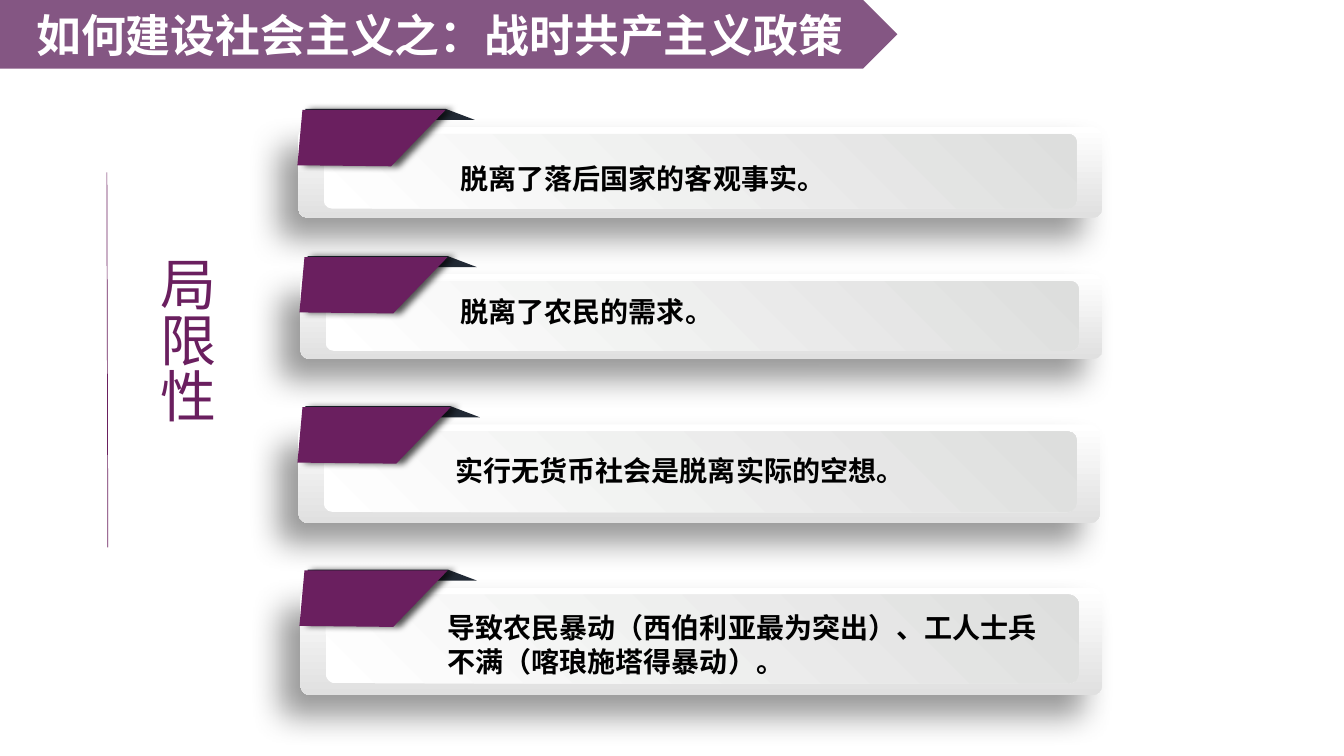
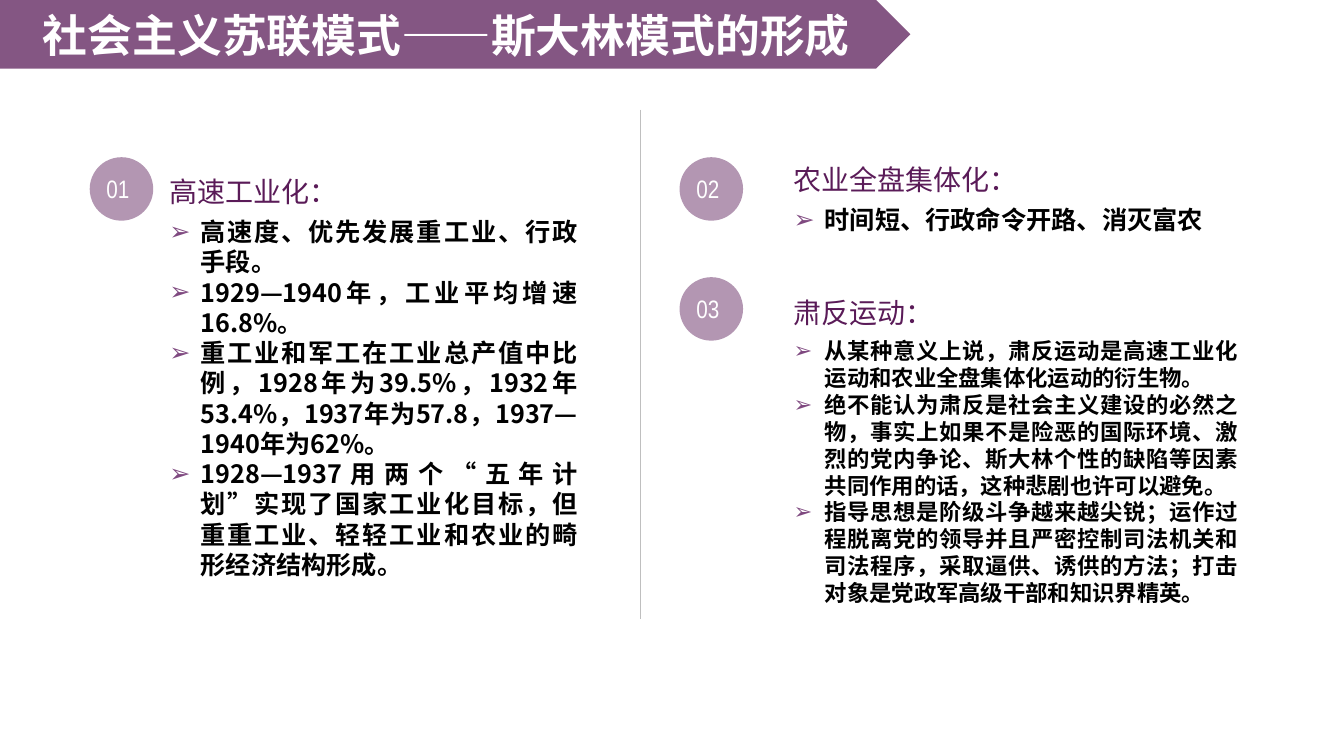
from dataclasses import dataclass

from lxml import etree
from pptx import Presentation
from pptx.dml.color import RGBColor
from pptx.enum.shapes import MSO_CONNECTOR, MSO_SHAPE
from pptx.enum.text import MSO_ANCHOR, MSO_AUTO_SIZE, PP_ALIGN
from pptx.oxml.ns import qn
from pptx.util import Emu, Pt

# Shared units, fonts and colours
PX = 9144  # EMU in one px, 100 px to the inch
CJK_FONT = "Noto Sans CJK SC"
NUMBER_FONT = "Arial Narrow"
PURPLE = "5A1B58"
RIBBON = "6A1F5F"
RIBBON_BACK = "222A35"
BULLET = "7F4980"
RULE = "BFBFBF"
WHITE = "FFFFFF"
BLACK = "000000"
BAND_HEIGHT = 68
LINE_HEIGHT = 1.2
TITLE_ONLY, COMPARISON = 5, 4

ROUNDED = MSO_SHAPE.ROUNDED_RECTANGLE
PENTAGON = MSO_SHAPE.PENTAGON
OVAL = MSO_SHAPE.OVAL
STRAIGHT = MSO_CONNECTOR.STRAIGHT
LEFT, CENTER, JUSTIFY = PP_ALIGN.LEFT, PP_ALIGN.CENTER, PP_ALIGN.JUSTIFY
TOP, MIDDLE = MSO_ANCHOR.TOP, MSO_ANCHOR.MIDDLE
NO_AUTOFIT = MSO_AUTO_SIZE.NONE


@dataclass
class Box:
    left: int
    top: int
    width: int
    height: int

    def emu(self) -> list[Emu]:
        return [px(n) for n in (self.left, self.top, self.width, self.height)]


@dataclass
class Shadow:
    alpha: int
    blur: int
    distance: int
    angle: int


@dataclass
class Card:
    text: str
    panel: Box
    text_box: Box
    ribbon_width: int = 147


@dataclass
class Topic:
    number: str
    heading: str
    points: list[str]
    circle_left: int
    circle_top: int
    box: Box
    size: int


CARD_SHADOW = Shadow(40, 22, 20, 135)
RIBBON_SHADOW = Shadow(67, 5, 5, 0)

CARDS = [
    Card("脱离了落后国家的客观事实。",
         Box(296, 126, 797, 90), Box(447, 155, 393, 44)),
    Card("脱离了农民的需求。",
         Box(298, 272, 795, 84), Box(447, 287, 298, 44)),
    Card("实行无货币社会是脱离实际的空想。",
         Box(296, 421, 795, 98), Box(442, 445, 466, 44), 152),
    Card("导致农民暴动（西伯利亚最为突出）、工人士兵不满（喀琅施塔得暴动）。",
         Box(298, 583, 795, 107), Box(434, 601, 621, 77)),
]

TOPICS = [
    Topic("01", "高速工业化：", [
        "高速度、优先发展重工业、行政手段。",
        "1929—1940年，工业平均增速16.8%。",
        "重工业和军工在工业总产值中比例，1928年为39.5%，1932年53.4%，"
        "1937年为57.8，1937—1940年为62%。",
        "1928—1937用两个“五年计划”实现了国家工业化目标，"
        "但重重工业、轻轻工业和农业的畸形经济结构形成。",
    ], 89, 156, Box(158, 168, 425, 445), 18),
    Topic("02", "农业全盘集体化：", [
        "时间短、行政命令开路、消灭富农",
    ], 674, 156, Box(777, 156, 441, 172), 18),
    Topic("03", "肃反运动：", [
        "从某种意义上说，肃反运动是高速工业化运动和农业全盘集体化运动的衍生物。",
        "绝不能认为肃反是社会主义建设的必然之物，事实上如果不是险恶的国际环境、"
        "激烈的党内争论、斯大林个性的缺陷等因素共同作用的话，这种悲剧也许可以避免。",
        "指导思想是阶级斗争越来越尖锐；运作过程脱离党的领导并且严密控制司法机关和"
        "司法程序，采取逼供、诱供的方法；打击对象是党政军高级干部和知识界精英。",
    ], 674, 275, Box(777, 288, 461, 369), 16),
]


# Helpers for shapes
def px(length: int) -> Emu:
    return Emu(length * PX)


def color(value: str) -> RGBColor:
    return RGBColor.from_string(value)


def place(shape, box: Box) -> None:
    shape.left, shape.top, shape.width, shape.height = box.emu()


def fill_solid(shape, value: str, alpha: int = 100) -> None:
    shape.shadow.inherit = False
    shape.line.fill.background()
    shape.fill.solid()
    shape.fill.fore_color.rgb = color(value)
    if alpha < 100:
        tint = shape.element.spPr.find(".//" + qn("a:srgbClr"))
        etree.SubElement(tint, qn("a:alpha"), val=str(alpha * 1000))


def add_shadow(shape, shadow: Shadow) -> None:
    effects = shape.element.spPr.find(qn("a:effectLst"))
    outer = etree.SubElement(
        effects, qn("a:outerShdw"), blurRad=str(Pt(shadow.blur)),
        dist=str(Pt(shadow.distance)), dir=str(shadow.angle * 60000),
        algn="ctr", rotWithShape="0")
    tint = etree.SubElement(outer, qn("a:srgbClr"), val=BLACK)
    etree.SubElement(tint, qn("a:alpha"), val=str(shadow.alpha * 1000))


def add_panel(slide, box: Box, end: str, angle: int, corner: float):
    shape = slide.shapes.add_shape(ROUNDED, *box.emu())
    shape.adjustments[0] = corner
    shape.shadow.inherit = False
    shape.line.fill.background()
    shape.fill.gradient()
    shape.fill.gradient_angle = angle
    for stop, value in zip(shape.fill.gradient_stops, (WHITE, end)):
        stop.color.rgb = color(value)
    return shape


def add_outline(slide, points: list[tuple[int, int]], value: str):
    builder = slide.shapes.build_freeform(*points[0], scale=float(PX))
    builder.add_line_segments(points[1:], close=True)
    shape = builder.convert_to_shape()
    fill_solid(shape, value)
    return shape


def add_rule(slide, start: tuple[int, int], end: tuple[int, int],
             value: str) -> None:
    line = slide.shapes.add_connector(
        STRAIGHT, *[px(n) for n in (*start, *end)])
    line.line.color.rgb = color(value)
    line.line.width = Pt(0.5)
    etree.SubElement(line.element.spPr, qn("a:effectLst"))


# Helpers for text
def write(paragraph, text: str, size: int, value: str, bold: bool = False,
          font: str = CJK_FONT, align: PP_ALIGN = LEFT) -> None:
    paragraph.alignment = align
    paragraph.space_before = Pt(0)
    paragraph.line_spacing = Pt(size * LINE_HEIGHT)
    run = paragraph.add_run()
    run.text = text
    run.font.size = Pt(size)
    run.font.bold = bold
    run.font.color.rgb = color(value)
    run.font.name = font
    etree.SubElement(run.font._element, qn("a:ea"), typeface=font)


def add_text(slide, box: Box, wrap: bool = True):
    frame = slide.shapes.add_textbox(*box.emu()).text_frame
    frame.word_wrap = wrap
    return frame


def set_bullet(paragraph, indent: int) -> None:
    properties = paragraph._p.get_or_add_pPr()
    properties.set("marL", str(px(indent)))
    properties.set("indent", str(px(-indent)))
    if indent:
        tint = etree.SubElement(properties, qn("a:buClr"))
        etree.SubElement(tint, qn("a:srgbClr"), val=BULLET)
        etree.SubElement(properties, qn("a:buFont"), typeface="Arial")
        etree.SubElement(properties, qn("a:buChar"), char="➢")
    else:
        etree.SubElement(properties, qn("a:buNone"))


# Parts of the slides
def add_title(slide, text: str, band_width: int) -> None:
    title = slide.shapes.title
    # The text area stops halfway along the arrow point
    place(title, Box(0, 0, band_width - BAND_HEIGHT // 4, BAND_HEIGHT))
    frame = title.text_frame
    frame.auto_size = NO_AUTOFIT
    frame.vertical_anchor = MIDDLE
    write(frame.paragraphs[0], text, 32, WHITE, bold=True, align=CENTER)
    band = slide.shapes.add_shape(
        PENTAGON, *Box(0, 0, band_width, BAND_HEIGHT).emu())
    fill_solid(band, PURPLE, 74)
    title.element.addprevious(band.element)


def add_card(slide, card: Card) -> None:
    panel = card.panel
    outer = add_panel(slide, panel, "E0E0E0", 270, 0.1)
    add_shadow(outer, CARD_SHADOW)
    inner = Box(panel.left + 25, panel.top + 7, 747,
                round(panel.height * 0.82))
    add_panel(slide, inner, "DDDEDD", 45, 0.115)

    # Ribbon: dark fold behind, purple tab in front
    left, top = panel.left, panel.top - 18
    right = left + card.ribbon_width - 1
    add_outline(slide, [(left + 7, top), (right, top),
                        (right + 29, top + 11), (left + 7, top + 11)],
                RIBBON_BACK)
    tab = add_outline(slide, [(left + 4, top + 1), (right, top + 1),
                              (right - 54, top + 57), (left - 1, top + 56)],
                      RIBBON)
    add_shadow(tab, RIBBON_SHADOW)
    frame = add_text(slide, card.text_box)
    write(frame.paragraphs[0], card.text, 20, BLACK, bold=True)


def add_topic(slide, topic: Topic, body) -> None:
    left, top = topic.circle_left, topic.circle_top
    circle = slide.shapes.add_shape(OVAL, *Box(left, top, 63, 63).emu())
    fill_solid(circle, PURPLE, 46)
    number = add_text(slide, Box(left + 5, top + 11, 46, 40), wrap=False)
    write(number.paragraphs[0], topic.number, 18, WHITE,
          font=NUMBER_FONT, align=CENTER)

    place(body, topic.box)
    frame = body.text_frame
    frame.auto_size = NO_AUTOFIT
    frame.vertical_anchor = TOP
    heading = frame.paragraphs[0]
    set_bullet(heading, 0)
    heading.space_after = Pt(6)
    write(heading, topic.heading, 20, PURPLE)
    for point in topic.points:
        paragraph = frame.add_paragraph()
        set_bullet(paragraph, 31)
        write(paragraph, point, topic.size, BLACK, bold=True, align=JUSTIFY)


def build_limits_slide(presentation) -> None:
    slide = presentation.slides.add_slide(
        presentation.slide_layouts[TITLE_ONLY])
    add_title(slide, "如何建设社会主义之：战时共产主义政策", 890)
    add_rule(slide, (106, 171), (107, 543), RIBBON)
    label = add_text(slide, Box(135, 244, 88, 236))
    label._txBody.bodyPr.set("vert", "eaVert")
    write(label.paragraphs[0], "局限性", 40, RIBBON)
    for card in CARDS:
        add_card(slide, card)


def build_model_slide(presentation) -> None:
    slide = presentation.slides.add_slide(
        presentation.slide_layouts[COMPARISON])
    add_title(slide, "社会主义苏联模式——斯大林模式的形成", 903)
    add_rule(slide, (635, 109), (635, 614), RULE)
    bodies = [shape for shape in slide.placeholders
              if shape.placeholder_format.idx > 0]
    for topic, body in zip(TOPICS, bodies):
        add_topic(slide, topic, body)
    for spare in bodies[len(TOPICS):]:
        spare.element.getparent().remove(spare.element)


def main() -> None:
    presentation = Presentation()
    presentation.slide_width, presentation.slide_height = px(1333), px(750)
    build_limits_slide(presentation)
    build_model_slide(presentation)
    presentation.save("out.pptx")


if __name__ == "__main__":
    main()
